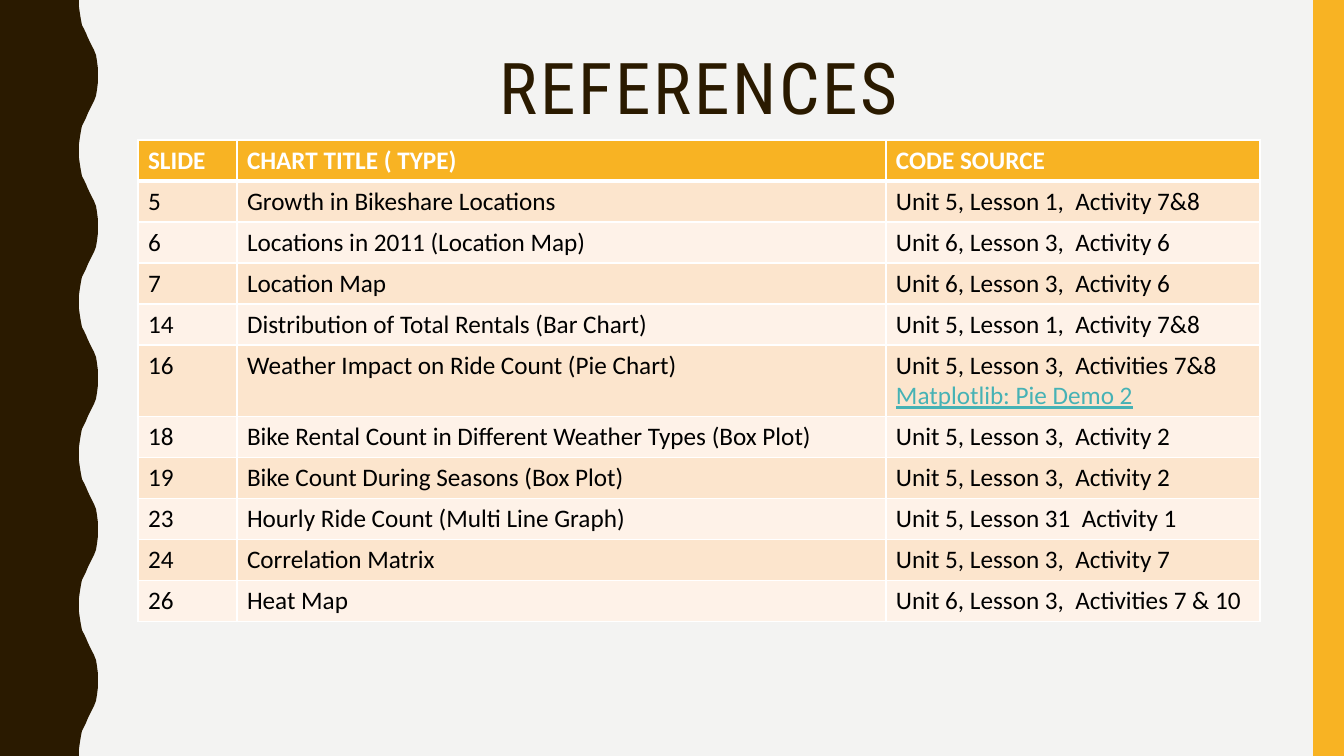
from lxml.etree import SubElement
from pptx import Presentation
from pptx.dml.color import RGBColor
from pptx.enum.shapes import MSO_SHAPE as Shape
from pptx.enum.text import MSO_ANCHOR as Anchor, PP_ALIGN as Align
from pptx.oxml.ns import qn
from pptx.util import Emu, Pt

SLIDE_WIDTH, SLIDE_HEIGHT = 1344, 756
EMU_PER_PX = 12192000 / SLIDE_WIDTH
COLORS = {
    "background": "F3F3F2", "brown": "2A1A00", "amber": "F8B323",
    "odd_row": "FCE5CD", "even_row": "FEF2E8",
    "white": "FFFFFF", "black": "000000", "teal": "46B2B5",
}
TITLE_FONT, BODY_FONT = "Roboto Condensed", "Calibri"

# Half of one wave, from trough to crest: (x, distance down)
HALF_WAVE = [(79, 0), (79, 7), (80, 14), (81, 20), (82, 25), (84, 29), (86, 33),
             (88, 38), (90, 42), (92, 46), (94, 50), (96, 55), (97, 61), (98, 69)]
WAVE_COUNT = 5

COLUMN_WIDTHS = [99, 649, 374]
ROW_HEIGHT, TWO_LINE_HEIGHT = 41, 71
HEADINGS = ["SLIDE", "CHART TITLE ( TYPE)", "CODE SOURCE"]
REFERENCES = [
    ("5", "Growth in Bikeshare Locations", "Unit 5, Lesson 1,  Activity 7&8"),
    ("6", "Locations in 2011 (Location Map)", "Unit 6, Lesson 3,  Activity 6"),
    ("7", "Location Map", "Unit 6, Lesson 3,  Activity 6"),
    ("14", "Distribution of Total Rentals (Bar Chart)", "Unit 5, Lesson 1,  Activity 7&8"),
    ("16", "Weather Impact on Ride Count (Pie Chart)",
     "Unit 5, Lesson 3,  Activities 7&8\nMatplotlib: Pie Demo 2"),
    ("18", "Bike Rental Count in Different Weather Types (Box Plot)",
     "Unit 5, Lesson 3,  Activity 2"),
    ("19", "Bike Count During Seasons (Box Plot)", "Unit 5, Lesson 3,  Activity 2"),
    ("23", "Hourly Ride Count (Multi Line Graph)", "Unit 5, Lesson 31  Activity 1"),
    ("24", "Correlation Matrix", "Unit 5, Lesson 3,  Activity 7"),
    ("26", "Heat Map", "Unit 6, Lesson 3,  Activities 7 & 10"),
]


def px(length):
    return Emu(round(length * EMU_PER_PX))


def color(name):
    return RGBColor.from_string(COLORS[name])


def paint(shape, fill):
    shape.shadow.inherit = False
    shape.fill.solid()
    shape.fill.fore_color.rgb = color(fill)
    shape.line.fill.background()


def add_run(paragraph, text, font, size, ink, bold=False):
    run = paragraph.add_run()
    run.text = text
    run.font.name = font
    run.font.size = Pt(size)
    run.font.bold = bold
    run.font.color.rgb = color(ink)
    return run


def add_wavy_band(slide):
    period = SLIDE_HEIGHT / WAVE_COUNT
    falling = [(x, period - y) for x, y in reversed(HALF_WAVE[1:])]
    wave = HALF_WAVE + [(98, period / 2)] + falling
    edge = [(x, index * period + y) for index in range(WAVE_COUNT) for x, y in wave]
    builder = slide.shapes.build_freeform(0, 0, scale=EMU_PER_PX)
    builder.add_line_segments(edge + [(79, SLIDE_HEIGHT), (0, SLIDE_HEIGHT)])
    paint(builder.convert_to_shape(), "brown")


def add_side_bar(slide):
    bar = slide.shapes.add_shape(Shape.RECTANGLE, px(1313), 0, px(31), px(SLIDE_HEIGHT))
    paint(bar, "amber")


def set_title(slide, text):
    title = slide.shapes.title
    title.left, title.top, title.width, title.height = px(138), px(42), px(1122), px(98)
    title.text_frame.vertical_anchor = Anchor.MIDDLE
    paragraph = title.text_frame.paragraphs[0]
    paragraph.alignment = Align.CENTER
    paragraph.line_spacing = 0.9
    run = add_run(paragraph, text, TITLE_FONT, 51, "brown")
    run.font._element.set("spc", "200")


def set_borders(cell, bottom_width):
    properties = cell._tc.get_or_add_tcPr()
    for side, width in (("L", 1), ("R", 1), ("T", 1), ("B", bottom_width)):
        line = SubElement(properties, qn(f"a:ln{side}"), w=str(Pt(width)))
        fill = SubElement(line, qn("a:solidFill"))
        SubElement(fill, qn("a:srgbClr"), val=COLORS["white"])


def fill_cell(cell, text, fill, is_heading):
    set_borders(cell, 3 if is_heading else 1)
    cell.fill.solid()
    cell.fill.fore_color.rgb = color(fill)
    frame = cell.text_frame
    for index, line in enumerate(text.split("\n")):
        paragraph = frame.add_paragraph() if index else frame.paragraphs[0]
        ink = "white" if is_heading else "teal" if index else "black"
        run = add_run(paragraph, line, BODY_FONT, 18, ink, is_heading)
        run.font.underline = index > 0


def add_reference_table(slide):
    rows = [HEADINGS] + REFERENCES
    heights = [TWO_LINE_HEIGHT if "\n" in row[-1] else ROW_HEIGHT for row in rows]
    table = slide.shapes.add_table(
        len(rows), len(HEADINGS), px(138), px(140),
        px(sum(COLUMN_WIDTHS)), px(sum(heights))).table
    for column, width in zip(table.columns, COLUMN_WIDTHS):
        column.width = px(width)
    for row_index, (texts, height) in enumerate(zip(rows, heights)):
        table.rows[row_index].height = px(height)
        band = "odd_row" if row_index % 2 else "even_row"
        fill = band if row_index else "amber"
        for column_index, text in enumerate(texts):
            fill_cell(table.cell(row_index, column_index), text, fill, row_index == 0)


def main():
    presentation = Presentation()
    presentation.slide_width, presentation.slide_height = px(SLIDE_WIDTH), px(SLIDE_HEIGHT)
    slide = presentation.slides.add_slide(presentation.slide_layouts[5])
    slide.background.fill.solid()
    slide.background.fill.fore_color.rgb = color("background")
    add_wavy_band(slide)
    add_side_bar(slide)
    set_title(slide, "REFERENCES")
    add_reference_table(slide)
    presentation.save("out.pptx")


if __name__ == "__main__":
    main()
